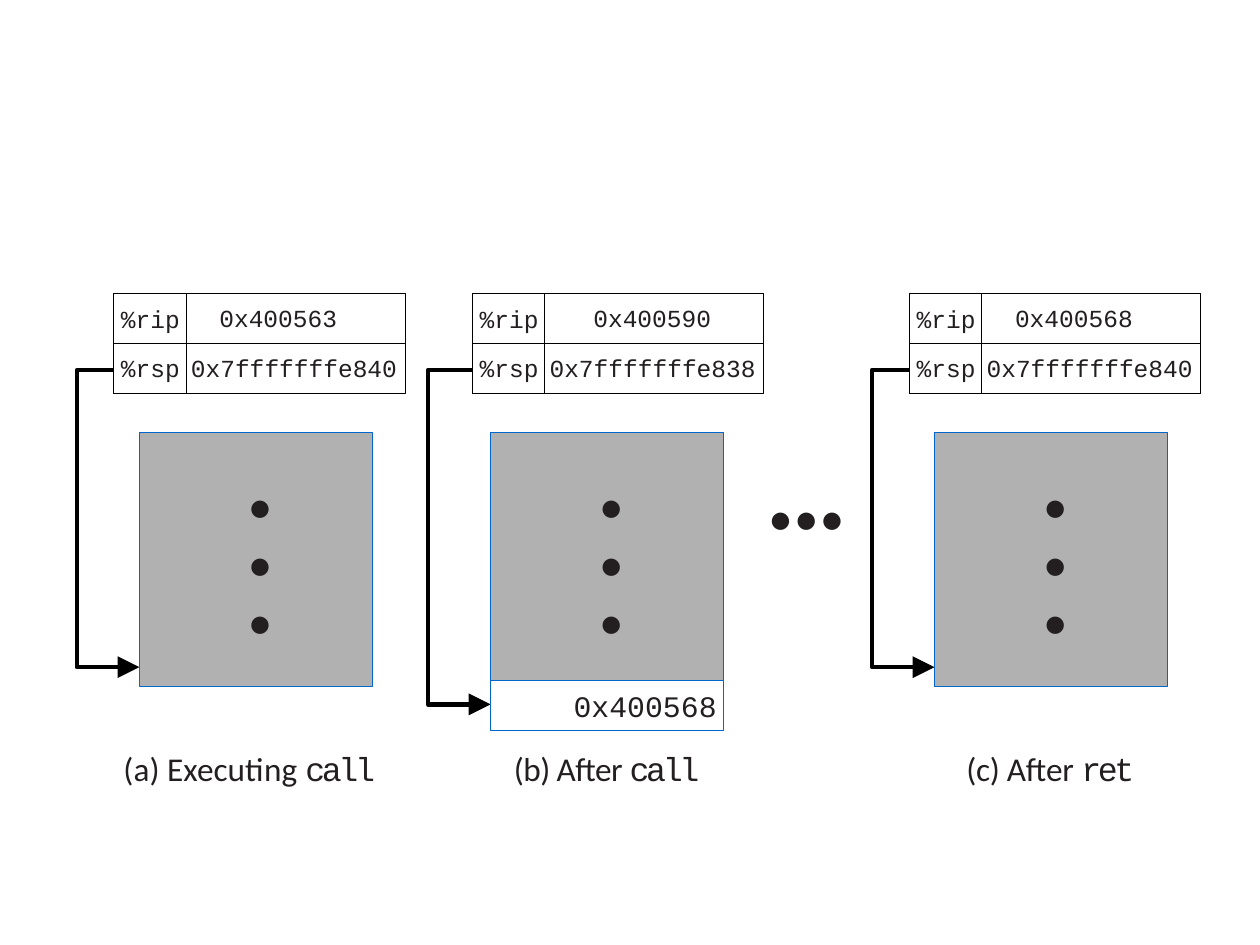
import dataclasses
from typing import Optional

import lxml.etree
import pptx
import pptx.dml.color
import pptx.enum.shapes
import pptx.enum.text
import pptx.oxml.ns
import pptx.util

Cm = pptx.util.Cm
Pt = pptx.util.Pt
RGB = pptx.dml.color.RGBColor
ALIGN = pptx.enum.text.PP_ALIGN
ANCHOR = pptx.enum.text.MSO_ANCHOR


@dataclasses.dataclass(frozen=True)
class Theme:
    """Colours, fonts and type sizes of the slide."""
    ink: RGB = RGB(0x23, 0x1F, 0x20)
    black: RGB = RGB(0, 0, 0)
    white: RGB = RGB(255, 255, 255)
    memory: RGB = RGB(0xB1, 0xB1, 0xB1)
    stack_edge: RGB = RGB(0x03, 0x66, 0xCB)
    sans: str = "Calibri"
    mono: str = "Courier New"
    register_size: float = 14
    address_size: float = 17
    caption_size: float = 19
    dot_size: float = 28
    hairline: float = 0.25
    pointer: float = 2.5


@dataclasses.dataclass(frozen=True)
class State:
    """One machine state; lengths are centimetres, tracking is 1/100 pt."""
    registers_left: float
    stack_left: float
    caption_left: float
    rip: str
    rip_inset: float
    rsp: str
    caption: str
    tracking: int
    instruction: str
    pushed: Optional[str] = None


THEME = Theme()
STATES = (
    State(2.29, 2.81, 2.49, "0x400563", 1.21, "0x7fffffffe840",
          "(a) Executing ", 5, "call"),
    State(9.52, 9.89, 10.36, "0x400590", 0.9, "0x7fffffffe838",
          "(b) After ", -30, "call", "0x400568"),
    State(18.33, 18.84, 19.48, "0x400568", 1.21, "0x7fffffffe840",
          "(c) After ", -15, "ret"),
)
REGISTERS_TOP, ROW_HEIGHT = 5.92, 1.0
REGISTERS_WIDTH, NAME_WIDTH, VALUE_RIGHT = 5.87, 1.46, 5.72
STACK_TOP, STACK_WIDTH, STACK_HEIGHT = 8.71, 4.69, 5.13
PUSHED_TOP = 13.72
POINTER_REACH = 1.26
CAPTION_TOP = 15.09


def style_paragraph(paragraph, font: str, size: float) -> None:
    """Set the font of a whole paragraph."""
    paragraph.font.name = font
    paragraph.font.size = Pt(size)
    paragraph.font.color.rgb = THEME.ink


def add_box(shapes, left: float, top: float, width: float, height: float,
            fill: RGB, edge: RGB, text: str = "", size: float = 14,
            align: ALIGN = ALIGN.LEFT) -> None:
    """Draw a thin-edged rectangle, with monospaced text if given."""
    box = shapes.add_shape(pptx.enum.shapes.MSO_SHAPE.RECTANGLE,
                           Cm(left), Cm(top), Cm(width), Cm(height))
    box.shadow.inherit = False
    box.fill.solid()
    box.fill.fore_color.rgb = fill
    box.line.color.rgb = edge
    box.line.width = Pt(THEME.hairline)
    if text:
        frame = box.text_frame
        frame.word_wrap = False
        frame.vertical_anchor = ANCHOR.MIDDLE
        frame.margin_left, frame.margin_right = Cm(0.15), Cm(0.13)
        frame.margin_top = frame.margin_bottom = 0
        paragraph = frame.paragraphs[0]
        paragraph.text = text
        paragraph.alignment = align
        style_paragraph(paragraph, THEME.mono, size)


def add_label(shapes, left: float, top: float, width: float, height: float,
              font: str, size: float, text: str):
    """Add an unpadded line of text and return its shape."""
    label = shapes.add_textbox(Cm(left), Cm(top), Cm(width), Cm(height))
    frame = label.text_frame
    frame.word_wrap = False
    frame.margin_left = frame.margin_right = 0
    frame.margin_top = frame.margin_bottom = 0
    paragraph = frame.paragraphs[0]
    paragraph.add_run().text = text
    style_paragraph(paragraph, font, size)
    return label


def add_dots(shapes, left: float, top: float, step_x: float, step_y: float) -> None:
    """Draw three evenly spaced dots."""
    for i in range(3):
        add_label(shapes, left + i * step_x, top + i * step_y, 0.51, 1.19,
                  THEME.sans, THEME.dot_size, "•")


def finish_outline(outline, width: float):
    """Turn a freeform builder into an unfilled black outline."""
    shape = outline.convert_to_shape()
    shape.shadow.inherit = False
    shape.fill.background()
    shape.line.color.rgb = THEME.black
    shape.line.width = Pt(width)
    return shape


def add_pointer(shapes, state: State) -> None:
    """Draw the bent arrow from %rsp to the top of the stack."""
    bend = Cm(state.stack_left - POINTER_REACH)
    start_y = Cm(REGISTERS_TOP + 1.54)
    target_y = Cm(14.2 if state.pushed else 13.45)
    outline = shapes.build_freeform(Cm(state.registers_left), start_y)
    outline.add_line_segments(
        [(bend, start_y), (bend, target_y), (Cm(state.stack_left), target_y)],
        close=False)
    line = finish_outline(outline, THEME.pointer).line._get_or_add_ln()
    lxml.etree.SubElement(line, pptx.oxml.ns.qn("a:tailEnd"),
                          type="triangle", w="lg", len="lg")


def add_registers(shapes, state: State) -> None:
    """Draw the %rip and %rsp rows inside one outline."""
    left, right = Cm(state.registers_left), Cm(state.registers_left + REGISTERS_WIDTH)
    outline = shapes.build_freeform(left, Cm(REGISTERS_TOP))
    rows = (("%rip", state.rip, state.rip_inset), ("%rsp", state.rsp, 0))
    for i, (name, value, inset) in enumerate(rows):
        top = REGISTERS_TOP + i * ROW_HEIGHT
        add_box(shapes, state.registers_left, top, NAME_WIDTH, ROW_HEIGHT,
                THEME.white, THEME.black, name, THEME.register_size)
        label = add_label(shapes, state.registers_left + NAME_WIDTH, top + 0.19,
                          VALUE_RIGHT - NAME_WIDTH, 0.61, THEME.mono,
                          THEME.register_size, value)
        label.text_frame.word_wrap = True
        label.text_frame.margin_right = Cm(inset)
        label.text_frame.paragraphs[0].alignment = ALIGN.RIGHT
        upper, lower = Cm(top), Cm(top + ROW_HEIGHT)
        outline.move_to(left, upper)
        outline.add_line_segments([(left, lower), (right, lower), (right, upper)])
    finish_outline(outline, THEME.hairline)


def add_stack(shapes, state: State) -> None:
    """Draw the stack and any pushed return address."""
    add_box(shapes, state.stack_left, STACK_TOP, STACK_WIDTH, STACK_HEIGHT,
            THEME.memory, THEME.stack_edge)
    add_dots(shapes, state.stack_left + 2.19, 9.56, 0, 1.17)
    if state.pushed:
        add_box(shapes, state.stack_left, PUSHED_TOP, STACK_WIDTH, ROW_HEIGHT,
                THEME.white, THEME.stack_edge, state.pushed,
                THEME.address_size, ALIGN.RIGHT)


def add_caption(shapes, state: State) -> None:
    """Write the caption, with its instruction in tight monospace."""
    label = add_label(shapes, state.caption_left, CAPTION_TOP, 5.1, 0.82,
                      THEME.sans, THEME.caption_size, state.caption)
    caption = label.text_frame.paragraphs[0]
    caption.runs[0].font._element.set("spc", str(state.tracking))
    instruction = caption.add_run()
    instruction.text = state.instruction
    instruction.font.name = THEME.mono
    instruction.font._element.set("spc", "-190")


def main() -> None:
    """Build and save the slide."""
    deck = pptx.Presentation()
    deck.slide_width, deck.slide_height = Cm(25.4), Cm(19.05)
    shapes = deck.slides.add_slide(deck.slide_layouts[6]).shapes
    for state in STATES:
        add_pointer(shapes, state)
        add_stack(shapes, state)
        add_registers(shapes, state)
        add_caption(shapes, state)
    add_dots(shapes, 15.49, 9.8, 0.52, 0)
    deck.save("out.pptx")


main()
